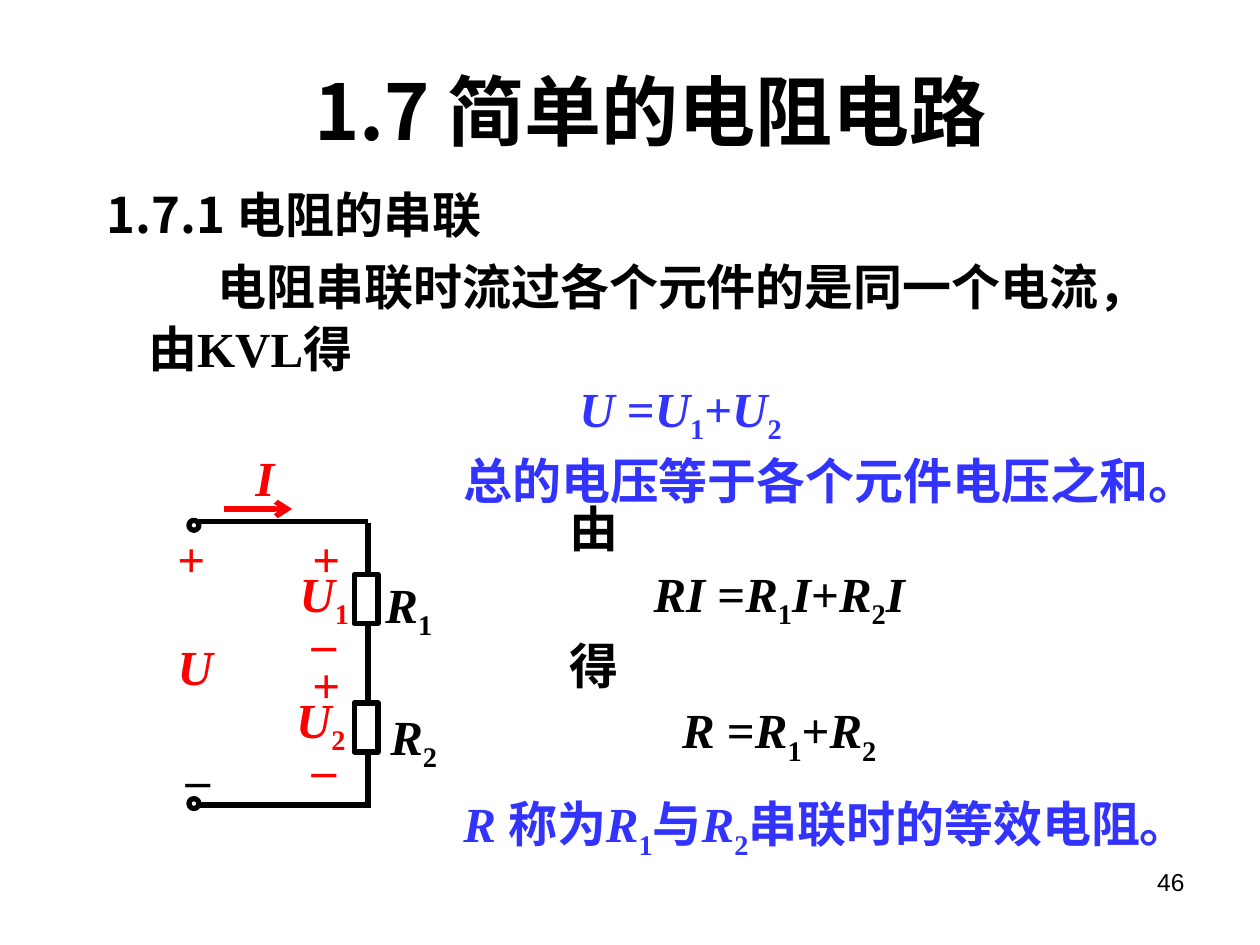
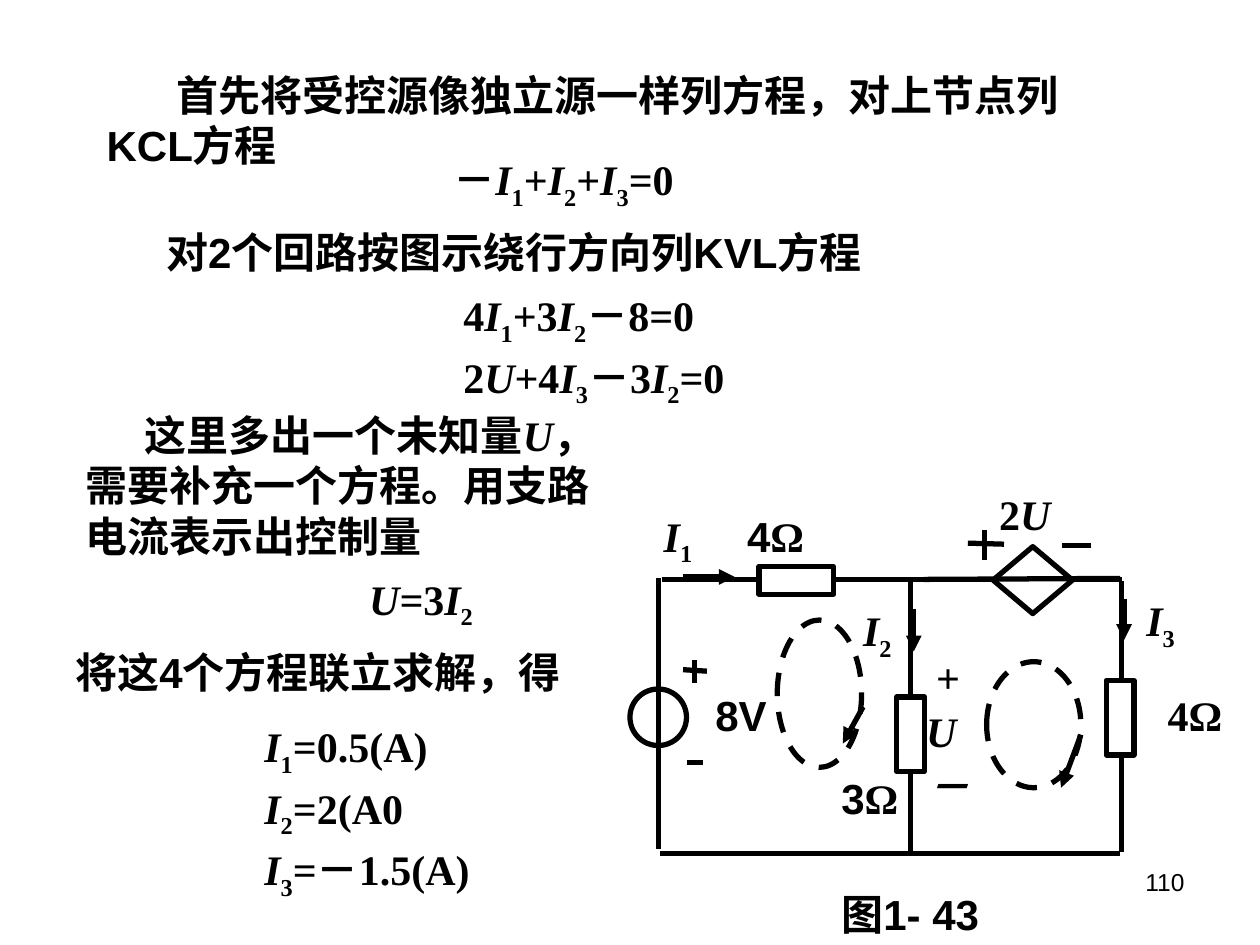
"""Build two slides on simple resistor circuits and their equations."""
from itertools import groupby

from lxml import etree
from pptx import Presentation
from pptx import util as u
from pptx.dml import color
from pptx.enum import dml, shapes, text
from pptx.oxml import ns

BLACK = color.RGBColor(0x00, 0x00, 0x00)
WHITE = color.RGBColor(0xFF, 0xFF, 0xFF)
RED = color.RGBColor(0xFF, 0x00, 0x00)
BLUE = color.RGBColor(0x33, 0x33, 0xFF)
SERIF, SANS, HAN = "Times New Roman", "Arial", "Noto Sans CJK SC"
LEFT, MID, RIGHT = text.PP_ALIGN.LEFT, text.PP_ALIGN.CENTER, text.PP_ALIGN.RIGHT
TOP, CENTRE = text.MSO_ANCHOR.TOP, text.MSO_ANCHOR.MIDDLE
RECT, OVAL, GEM = (shapes.MSO_SHAPE.RECTANGLE, shapes.MSO_SHAPE.OVAL,
                   shapes.MSO_SHAPE.DIAMOND)
LOOSE = {"line_spacing": 1.05}


def cms(*nums):
    return [u.Cm(n) for n in nums]


def apply(item, **form):
    for key, val in form.items():
        setattr(item, key, val)


def parse(line):
    slant, low, marks = False, False, []
    for char in line:
        if char == "*":
            slant = not slant
        elif char == "_":
            low = True
        else:
            marks.append((char, (slant, low, char == "Ω")))
            low = False
    for style, group in groupby(marks, key=lambda mark: mark[1]):
        yield "".join(mark[0] for mark in group), style


def write(par, line, size, face, tint, bold):
    for words, (slant, low, greek) in parse(line):
        run = par.add_run()
        run.text = words
        apply(run.font, size=u.Pt(size), bold=bold, italic=slant,
              name=SERIF if slant or greek else face)
        run.font.color.rgb = tint
        props = run.font._element
        etree.SubElement(props, ns.qn("a:ea")).set("typeface", HAN)
        if low:
            props.set("baseline", "-25000")


def fill(shape, lines, size=28, face=SERIF, tint=BLACK, bold=True, align=LEFT,
         anchor=TOP, wrap=True, indent=0, gap=0, form=None):
    frame = shape.text_frame
    apply(frame, word_wrap=wrap, auto_size=text.MSO_AUTO_SIZE.NONE,
          vertical_anchor=anchor)
    for i, line in enumerate(lines):
        par = frame.add_paragraph() if i else frame.paragraphs[0]
        apply(par, alignment=align, space_before=u.Pt(gap if i else 0),
              **(form or {}))
        if indent and not i:
            par._p.get_or_add_pPr().set("indent", str(u.Cm(indent)))
        write(par, line, size, face, tint, bold)
    return frame


def label(slide, place, *lines, **form):
    box = slide.shapes.add_textbox(*cms(*place))
    return fill(box, lines, **form)


def holder(shape, place, line, **form):
    apply(shape, **dict(zip(("left", "top", "width", "height"), cms(*place))))
    fill(shape, [line], face=HAN, **form)


def wire(slide, ends, tint=BLACK, tip=None):
    line = slide.shapes.add_connector(shapes.MSO_CONNECTOR.STRAIGHT, *cms(*ends))
    line.line.color.rgb = tint
    line.line.width = u.Pt(3)
    if tip:
        stroke = line.line._get_or_add_ln()
        etree.SubElement(stroke, ns.qn("a:tailEnd")).set("type", tip)
    etree.SubElement(line._element.spPr, ns.qn("a:effectLst"))


def part(slide, kind, place, dash=False):
    shape = slide.shapes.add_shape(kind, *cms(*place))
    shape.shadow.inherit = False
    shape.fill.solid()
    shape.fill.fore_color.rgb = WHITE
    shape.line.color.rgb = BLACK
    shape.line.width = u.Pt(3)
    if dash:
        shape.line.dash_style = dml.MSO_LINE.DASH


def page(slide, num):
    label(slide, (18.21, 17.35, 5.92, 1.32), num, size=14, face=SANS,
          bold=False, align=RIGHT)


def series(slide):
    for ends in ((4.01, 16.23, 7.47, 16.23), (7.42, 10.52, 4.01, 10.52),
                 (7.42, 10.54, 7.42, 11.58), (7.42, 12.62, 7.42, 14.12),
                 (7.42, 15.16, 7.42, 16.2)):
        wire(slide, ends)
    wire(slide, (4.52, 10.26, 5.89, 10.26), RED, "arrow")
    for y in (10.49, 16.1):
        part(slide, OVAL, (3.81, y, 0.2, 0.2))
    for y in (11.58, 14.17):
        part(slide, RECT, (7.14, y, 0.48, 0.99))
    for i, x in enumerate((5.79, 5.72)):
        drop = 2.54 * i
        label(slide, (x, 11.23 + drop, 1.55, 1.45), f"*U*_{i + 1}",
              tint=RED, wrap=False)
        label(slide, (5.46, 10.52 + drop, 2.24, 1.45), "+", tint=RED, align=MID)
        label(slide, (5.92, 12.22 + drop, 1.22, 1.45), "–", tint=RED, align=MID)
    label(slide, (7.52, 11.46, 1.5, 1.45), "*R*_1", wrap=False)
    label(slide, (7.62, 14.12, 1.5, 1.45), "*R*_2", wrap=False)
    label(slide, (3.33, 12.7, 1.22, 1.45), "*U*", tint=RED, wrap=False)
    label(slide, (4.9, 8.89, 0.89, 1.45), "*I*", tint=RED, wrap=False)
    label(slide, (2.74, 10.52, 2.24, 1.45), "+", tint=RED, align=MID)
    label(slide, (3.38, 14.96, 1.22, 1.45), "–", align=MID)


def first(deck):
    slide = deck.slides.add_slide(deck.slide_layouts[0])
    page(slide, "46")
    holder(slide.shapes.title, (2.11, 1.47, 22.02, 1.47), "1.7 简单的电阻电路",
           size=44, align=MID, anchor=CENTRE)
    holder(slide.placeholders[1], (1.9, 3.6, 17.78, 1.47), "1.7.1 电阻的串联")
    series(slide)
    block = {"anchor": CENTRE, "form": LOOSE}
    label(slide, (2.74, 4.88, 21.16, 2.97),
          "电阻串联时流过各个元件的是同一个电流，由KVL得", indent=1.4, **block)
    frame = label(slide, (11.23, 9.93, 9.96, 5.59), "由",
                  "*RI *=*R*_1*I*+*R*_2*I*", "得", "*R *=*R*_1+*R*_2",
                  gap=1.4, **block)
    for par in frame.paragraphs[1::2]:
        par.alignment = MID
    frame.paragraphs[1]._p.get_or_add_pPr().set("marR", str(u.Cm(1)))
    label(slide, (11.43, 7.42, 6.55, 1.7), "*U *=*U*_1+*U*_2", tint=BLUE, **block)
    label(slide, (9.09, 8.69, 15.04, 1.9), "总的电压等于各个元件电压之和。",
          tint=BLUE, **block)
    label(slide, (9.09, 15.88, 16, 3.23),
          "*R *称为*R*_1与*R*_2串联时的等效电阻。", tint=BLUE)


def meshes(slide):
    part(slide, OVAL, (12.7, 13.89, 1.14, 1.14))
    for ends in ((13.28, 11.66, 13.28, 17.12), (13.34, 11.68, 22.61, 11.68),
                 (13.31, 17.2, 22.58, 17.2), (22.61, 11.71, 22.61, 17.17),
                 (18.36, 11.73, 18.36, 17.2)):
        wire(slide, ends)
    for place in ((15.3, 11.42, 1.5, 0.56), (18.08, 14.05, 0.56, 1.5),
                  (22.3, 13.72, 0.56, 1.5)):
        part(slide, RECT, place)
    part(slide, GEM, (20.02, 11.02, 1.6, 1.35))
    for ends in ((22.58, 11.66, 18.62, 11.68),
                 (13.77, 13.5, 14.25, 13.53), (14, 13.31, 14, 13.77),
                 (13.84, 15.37, 14.17, 15.37),
                 (19.51, 10.95, 20.24, 10.97), (19.84, 11.28, 19.84, 10.69),
                 (22, 11, 21.41, 11)):
        wire(slide, ends)
    for place in ((19.89, 13.34, 1.9, 2.54), (15.67, 12.5, 1.7, 2.97)):
        part(slide, OVAL, place, dash=True)
    for ends in ((13.77, 11.63, 14.81, 11.63), (22.66, 12.07, 22.66, 12.9),
                 (18.42, 12.27, 18.42, 13.13), (21.79, 14.81, 21.39, 15.88),
                 (17.4, 14.25, 16.99, 14.99)):
        wire(slide, ends, tip="triangle")
    for x, y, wide, words, face in (
            (13.13, 10.16, 1.9, "*I*_1", SERIF),
            (17.15, 12.07, 1.7, "*I*_2", SERIF),
            (22.86, 11.86, 1.47, "*I*_3", SERIF),
            (14.81, 10.16, 2.11, "4Ω", SANS),
            (16.71, 15.44, 1.9, "3Ω", SANS),
            (23.29, 13.77, 2.11, "4Ω", SERIF),
            (14.17, 13.77, 2.11, "8V", SANS),
            (19.89, 9.73, 1.9, "2*U*", SERIF),
            (16.71, 17.78, 4.24, "图1- 43", SANS)):
        label(slide, (x, y, wide, 1.27), words, size=24, face=face)
    label(slide, (18.42, 13, 1.9, 3.5), "+", "*U*", "*－*", size=24,
          indent=0.2, gap=2.4)


def second(deck):
    slide = deck.slides.add_slide(deck.slide_layouts[6])
    page(slide, "110")
    meshes(slide)
    for place, words, indent in (
            ((1.9, 1.27, 20.75, 2.29),
             "首先将受控源像独立源一样列方程，对上节点列KCL方程", 1.4),
            ((1.7, 4.45, 17.35, 1.27), "对2个回路按图示绕行方向列KVL方程", 1.4),
            ((1.47, 8.13, 11.43, 3.3),
             "这里多出一个未知量*U*，需要补充一个方程。用支路电流表示出控制量", 1.2),
            ((1.27, 12.9, 10.59, 2.29), "将这4个方程联立求解，得", 0)):
        label(slide, place, words, size=24, face=SANS, indent=indent)
    for place, lines in (
            ((8.89, 2.97, 6.55, 1.27), ["－*I*_1+*I*_2+*I*_3=0"]),
            ((9.09, 5.72, 7.19, 2.39),
             ["4*I*_1+3*I*_2－8=0", "2*U*+4*I*_3－3*I*_2=0"]),
            ((7.19, 11.43, 3.18, 1.27), ["*U=*3*I*_2"]),
            ((5.08, 14.4, 5.28, 3.51),
             ["*I*_1=0.5(A)", "*I*_2=2(A0", "*I*_3=－1.5(A)"])):
        label(slide, place, *lines, size=24, gap=2.4)


def main():
    deck = Presentation()
    apply(deck, slide_width=u.Cm(25.4), slide_height=u.Cm(19.05))
    first(deck)
    second(deck)
    deck.save("out.pptx")


if __name__ == "__main__":
    main()
